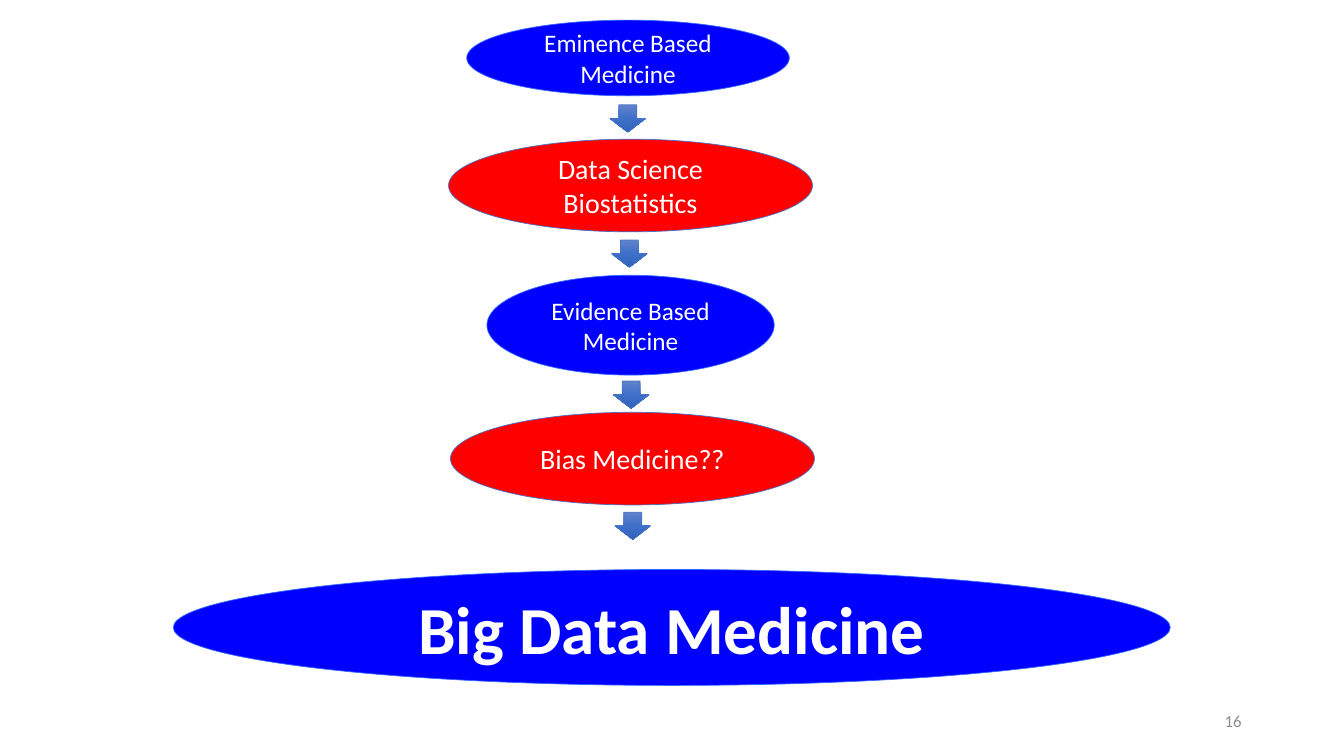
from copy import deepcopy
from pptx import Presentation
from pptx.dml.color import RGBColor
from pptx.enum import shapes, text
from pptx.util import Pt

BLUE = RGBColor(0x00, 0x00, 0xFF)
RED = RGBColor(0xFF, 0x00, 0x00)
WHITE = RGBColor(0xFF, 0xFF, 0xFF)
GRAY = RGBColor(0x8C, 0x8C, 0x8C)
EDGE = RGBColor(0x33, 0x66, 0xFF)
STEEL = RGBColor(0x44, 0x72, 0xC4)
SHADES = (RGBColor(0x61, 0x83, 0xCB), RGBColor(0x3E, 0x70, 0xCA),
          RGBColor(0x30, 0x62, 0xBB))

# label, left, top, width, height, fill, line, text size
STAGES = [
    ("Eminence Based Medicine", 333.4, 14.4, 230.4, 54, BLUE, EDGE, 18),
    ("Data Science Biostatistics", 320.4, 99.4, 260, 66.2, RED, STEEL, 20),
    ("Evidence Based Medicine", 347.8, 196.6, 205.2, 71.3, BLUE, EDGE, 18),
    ("Bias Medicine??", 321.8, 294.5, 260, 66.2, RED, STEEL, 20),
    ("Big Data Medicine", 123.8, 406.8, 712.1, 82.8, BLUE, EDGE, 48),
]
ARROW_TOPS = [74.9, 171.4, 272.2, 365.8]
ARROW_X, DRIFT = 435.6, 1.2
ARROW_W, ARROW_H = 25.6, 19.6
PAGE = "16"


def write(shape, words, size, color, align, bold=False):
    frame = shape.text_frame
    frame.word_wrap = True
    frame.vertical_anchor = text.MSO_ANCHOR.MIDDLE
    frame.text = words
    para = frame.paragraphs[0]
    para.alignment = align
    font = para.runs[0].font
    font.name, font.size, font.bold = "Calibri", Pt(size), bold
    font.color.rgb = color


def draw(slide, kind, box, line):
    shape = slide.shapes.add_shape(kind, *map(Pt, box))
    shape.shadow.inherit = False
    shape.line.color.rgb = line
    shape.line.width = Pt(0.5)
    return shape


def shade(shape):
    """Fill with a three-stop gradient running downwards."""
    fill = shape.fill
    fill.gradient()
    fill.gradient_angle = 270
    stops = shape._element.spPr.gradFill.gsLst
    stops.insert(1, deepcopy(stops[0]))
    for i, (stop, color) in enumerate(zip(fill.gradient_stops, SHADES)):
        stop.position = i / 2
        stop.color.rgb = color


def main():
    deck = Presentation()
    deck.slide_width, deck.slide_height = Pt(960), Pt(540)
    slide = deck.slides.add_slide(deck.slide_layouts[6])

    for label, *box, fill, line, size in STAGES:
        oval = draw(slide, shapes.MSO_SHAPE.OVAL, box, line)
        oval.fill.solid()
        oval.fill.fore_color.rgb = fill
        write(oval, label, size, WHITE, text.PP_ALIGN.CENTER, size == 48)

    for i, top in enumerate(ARROW_TOPS):
        box = (ARROW_X + i * DRIFT, top, ARROW_W, ARROW_H)
        shade(draw(slide, shapes.MSO_SHAPE.DOWN_ARROW, box, STEEL))

    number = slide.shapes.add_textbox(Pt(678), Pt(500.5), Pt(216), Pt(28.75))
    write(number, PAGE, 12, GRAY, text.PP_ALIGN.RIGHT)
    deck.save("out.pptx")


if __name__ == "__main__":
    main()
